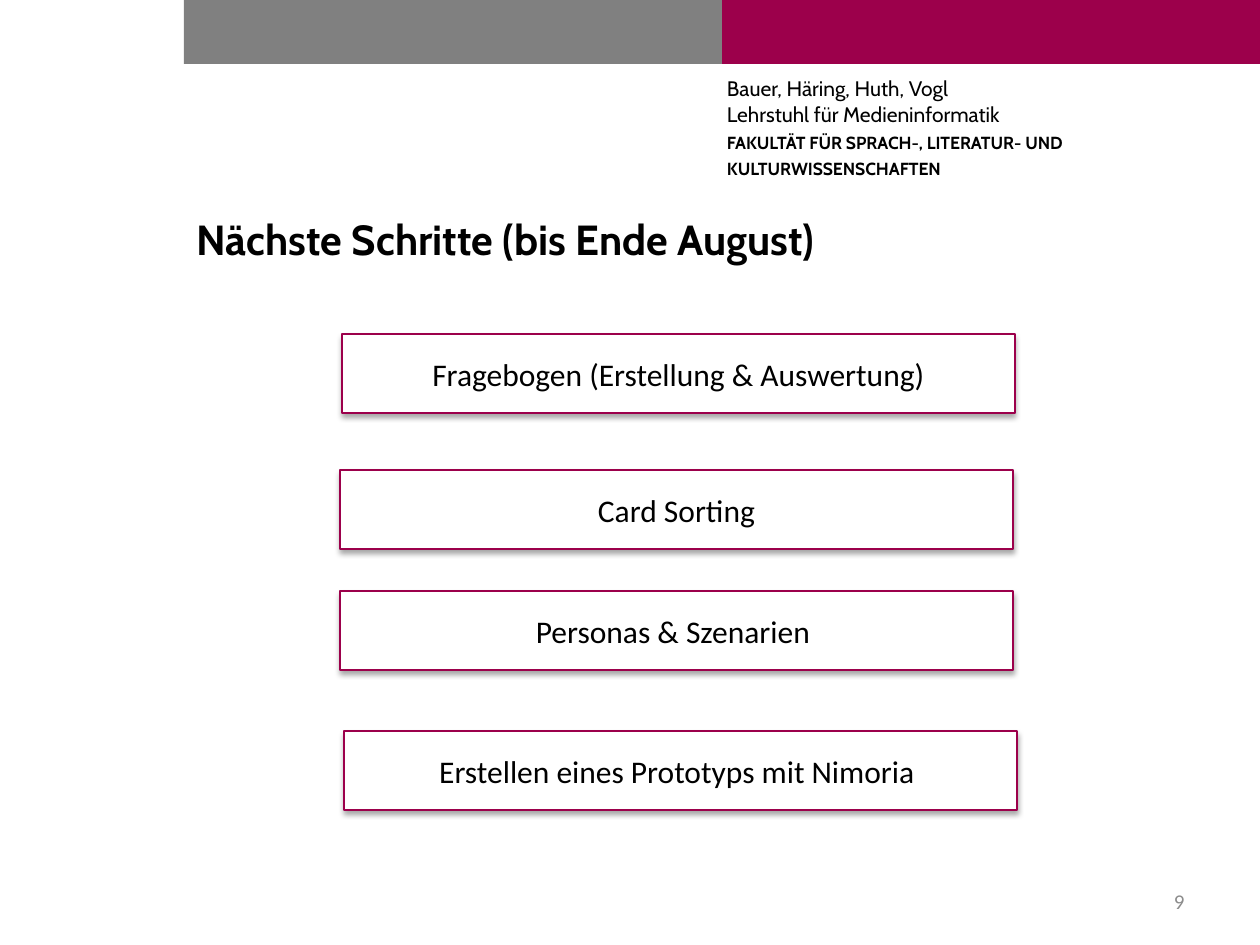
"""Build the slide listing the next project steps until the end of August."""
from dataclasses import dataclass

from lxml import etree
from pptx import Presentation
from pptx import util as u
from pptx.dml.color import RGBColor
from pptx.enum import shapes, text
from pptx.oxml import ns

SCALE = u.Inches(1) / 126
BERRY, GREY, BLACK, WHITE = "9C004B", "808080", "000000", "FFFFFF"


@dataclass(frozen=True)
class Area:
    """Place on the page in px."""
    left: int
    top: int
    width: int
    height: int

    def emu(self) -> list[int]:
        """Return the four lengths in EMU."""
        return [px(n) for n in (self.left, self.top, self.width, self.height)]


@dataclass(frozen=True)
class Style:
    """Look of a span of text."""
    font: str
    size: int
    color: str = BLACK
    bold: bool = False


@dataclass(frozen=True)
class Step:
    """One step card, placed by its upper left corner in px."""
    label: str
    left: int
    top: int


HEADING = Style("Cabin", 24, bold=True)
AUTHORS = Style("Cabin", 12)
FACULTY = Style("Cabin", 10, bold=True)
CARD = Style("Calibri", 18)
NUMBER = Style("Calibri", 12, "8C8C8C")

BANDS = [(184, GREY), (722, BERRY)]
STEPS = [
    Step("Fragebogen (Erstellung & Auswertung)", 342, 334),
    Step("Card Sorting", 340, 470),
    Step("Personas & Szenarien ", 340, 591),
    Step("Erstellen eines Prototyps mit Nimoria ", 344, 731),
]
AFFILIATION = [
    (["Bauer, Häring, Huth, Vogl ", "Lehrstuhl für Medieninformatik"], AUTHORS),
    (["FAKULTÄT FÜR SPRACH-, LITERATUR- UND"], FACULTY),
    (["KULTURWISSENSCHAFTEN"], FACULTY),
]


def px(length: int) -> int:
    """Turn px into EMU."""
    return round(length * SCALE)


def rgb(value: str) -> RGBColor:
    """Turn a hex string into a colour."""
    return RGBColor.from_string(value)


def add_span(para, words: str, style: Style) -> None:
    """Append one styled run to a paragraph."""
    span = para.add_run()
    span.text = words
    span.font.name = style.font
    span.font.size = u.Pt(style.size)
    span.font.bold = style.bold
    span.font.color.rgb = rgb(style.color)


def add_rectangle(page, area: Area, fill: str):
    """Draw a plain rectangle without outline or shadow."""
    box = page.shapes.add_shape(shapes.MSO_SHAPE.RECTANGLE, *area.emu())
    box.shadow.inherit = False
    box.fill.solid()
    box.fill.fore_color.rgb = rgb(fill)
    box.line.fill.background()
    return box


def add_soft_shadow(box) -> None:
    """Give a shape a faint shadow falling straight down."""
    effects = box.element.spPr.find(ns.qn("a:effectLst"))
    shadow = etree.SubElement(effects, ns.qn("a:outerShdw"), blurRad=str(u.Pt(3.1)),
                              dist=str(u.Pt(1.8)), dir="5400000", rotWithShape="0")
    color = etree.SubElement(shadow, ns.qn("a:srgbClr"), val=BLACK)
    etree.SubElement(color, ns.qn("a:alpha"), val="35000")


def add_step(page, step: Step) -> None:
    """Draw one step card."""
    box = add_rectangle(page, Area(step.left, step.top, 673, 79), WHITE)
    box.line.color.rgb = rgb(BERRY)
    box.line.width = u.Pt(0.75)
    add_soft_shadow(box)
    box.text_frame.vertical_anchor = text.MSO_ANCHOR.MIDDLE
    para = box.text_frame.paragraphs[0]
    para.alignment = text.PP_ALIGN.CENTER
    add_span(para, step.label, CARD)


def add_affiliation(page) -> None:
    """Write authors and faculty below the coloured band."""
    frame = page.shapes.add_textbox(*Area(727, 76, 509, 118).emu()).text_frame
    frame.word_wrap = True
    frame.margin_left = frame.margin_top = frame.margin_right = frame.margin_bottom = 0
    for index, (lines, style) in enumerate(AFFILIATION):
        para = frame.add_paragraph() if index else frame.paragraphs[0]
        para.space_after = u.Pt(3)
        for number, line in enumerate(lines):
            if number:
                para.add_line_break()
            add_span(para, line, style)


def set_title(page, words: str) -> None:
    """Place and fill the title placeholder."""
    title = page.shapes.title
    title.left, title.top, title.width, title.height = Area(184, 207, 990, 96).emu()
    title.text_frame.vertical_anchor = text.MSO_ANCHOR.TOP
    para = title.text_frame.paragraphs[0]
    para.alignment = text.PP_ALIGN.LEFT
    add_span(para, words, HEADING)


def add_page_number(page, number: str) -> None:
    """Write the page number in the lower right corner."""
    frame = page.shapes.add_textbox(*Area(903, 876, 294, 50).emu()).text_frame
    frame.word_wrap = True
    frame.vertical_anchor = text.MSO_ANCHOR.MIDDLE
    para = frame.paragraphs[0]
    para.alignment = text.PP_ALIGN.RIGHT
    add_span(para, number, NUMBER)


def main() -> None:
    """Build and save the deck."""
    deck = Presentation()
    deck.slide_width, deck.slide_height = px(1260), px(945)
    page = deck.slides.add_slide(deck.slide_layouts.get_by_name("Title Only"))
    for left, color in BANDS:
        add_rectangle(page, Area(left, 0, 538, 64), color)
    add_affiliation(page)
    set_title(page, "Nächste Schritte (bis Ende August)")
    add_page_number(page, "9")
    for step in STEPS:
        add_step(page, step)
    deck.save("out.pptx")


if __name__ == "__main__":
    main()
